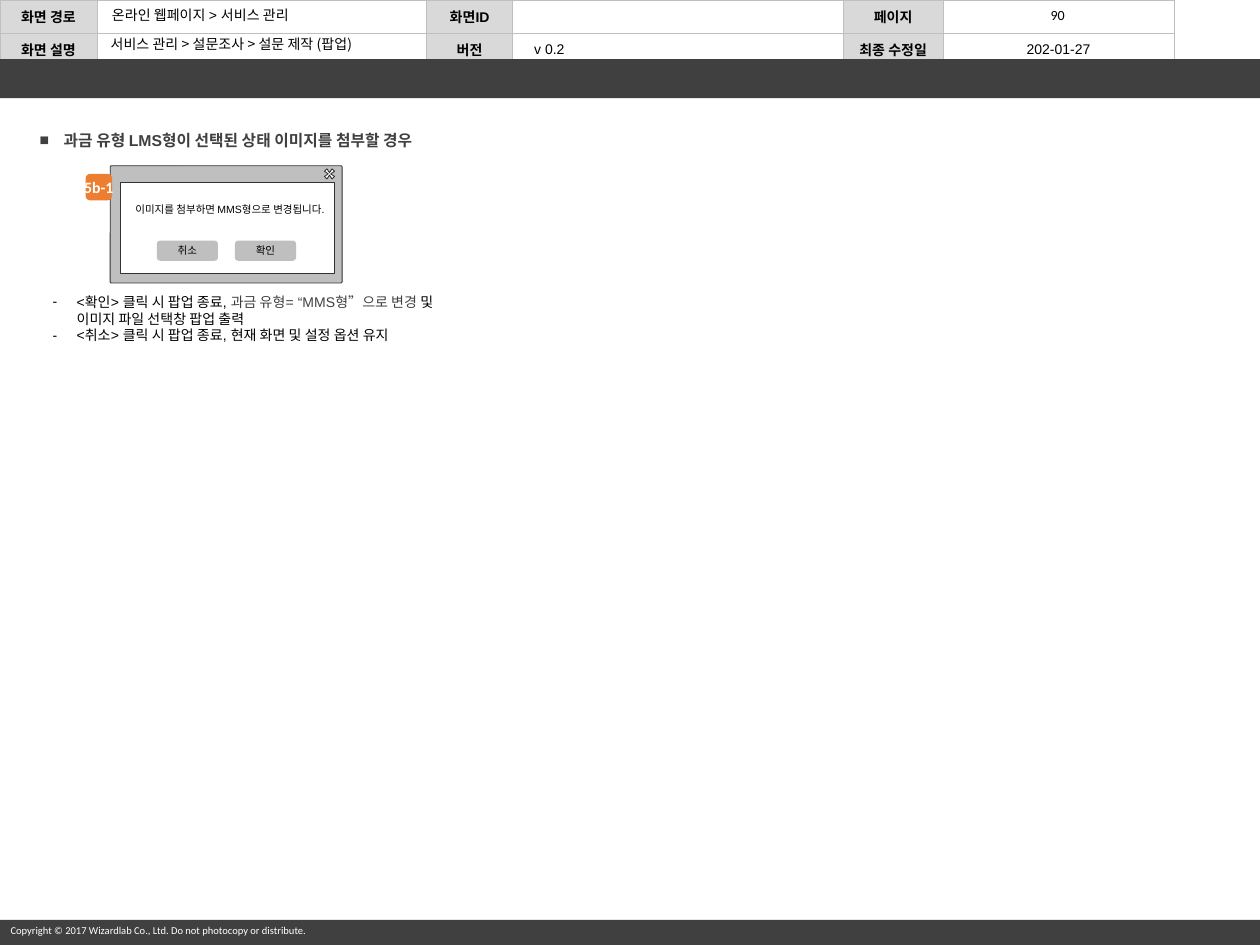
from dataclasses import dataclass

from lxml import etree
from pptx import Presentation
from pptx.dml.color import RGBColor
from pptx.enum.shapes import MSO_SHAPE
from pptx.enum.text import MSO_ANCHOR, MSO_AUTO_SIZE, PP_ALIGN
from pptx.oxml.ns import qn
from pptx.util import Emu, Inches, Pt

RECT, ROUND = MSO_SHAPE.RECTANGLE, MSO_SHAPE.ROUNDED_RECTANGLE
TOP, MIDDLE = MSO_ANCHOR.TOP, MSO_ANCHOR.MIDDLE
LEFT, CENTER = PP_ALIGN.LEFT, PP_ALIGN.CENTER
GROW = MSO_AUTO_SIZE.SHAPE_TO_FIT_TEXT
SLIDE_W, SLIDE_H = Inches(10), Inches(7.5)
DEFAULT_INSETS = (0.1, 0.05, 0.1, 0.05)
NARROW_INSETS = (0.04,) * 4


@dataclass(frozen=True)
class Theme:
    black: str = "000000"
    white: str = "FFFFFF"
    dark: str = "404040"
    label: str = "D9D9D9"
    gray: str = "BFBFBF"
    outline: str = "333333"
    accent: str = "ED7D31"
    small: int = 6
    body: int = 8
    heading: int = 9
    latin: str = "Arial"
    alt: str = "Calibri"
    korean: str = "Noto Sans CJK KR"


THEME = Theme()


def share_x(percent):
    return Emu(round(SLIDE_W * percent / 100))


def share_y(percent):
    return Emu(round(SLIDE_H * percent / 100))


def place(x, y, w, h):
    """Turn percentages of the slide into lengths."""
    return share_x(x), share_y(y), share_x(w), share_y(h)


def style_run(run, size=THEME.body, color=THEME.black, font=THEME.latin, bold=False):
    run.font.size = Pt(size)
    run.font.bold = bold
    run.font.color.rgb = RGBColor.from_string(color)
    run.font.name = font
    props = run._r.get_or_add_rPr()
    props.set("kern", "0")
    etree.SubElement(props, qn("a:ea"), typeface=THEME.korean)


def write(paragraph, text, align=LEFT, spacing=None, **style):
    paragraph.text = text
    paragraph.alignment = align
    if spacing:
        paragraph.line_spacing = spacing
    for run in paragraph.runs:
        style_run(run, **style)


def add_bullet(paragraph, mark):
    props = paragraph._p.get_or_add_pPr()
    indent = Inches(0.19)
    props.set("marL", str(indent))
    props.set("indent", str(-indent))
    etree.SubElement(props, qn("a:buFont"), typeface=THEME.latin)
    etree.SubElement(props, qn("a:buChar"), char=mark)


def set_frame(frame, insets=DEFAULT_INSETS, anchor=TOP, wrap=True):
    (frame.margin_left, frame.margin_top,
     frame.margin_right, frame.margin_bottom) = map(Inches, insets)
    frame.vertical_anchor = anchor
    frame.word_wrap = wrap


def add_text(slide, box, text="", grow=True, insets=DEFAULT_INSETS,
             anchor=TOP, wrap=True, **style):
    frame = slide.shapes.add_textbox(*place(*box)).text_frame
    set_frame(frame, insets, anchor, wrap)
    if grow:
        frame.auto_size = GROW
    write(frame.paragraphs[0], text, **style)
    return frame


def paint(shape, fill, line=None):
    shape.shadow.inherit = False
    shape.fill.solid()
    shape.fill.fore_color.rgb = RGBColor.from_string(fill)
    if line:
        shape.line.color.rgb = RGBColor.from_string(line)
        shape.line.width = Pt(0.5)
    else:
        shape.line.fill.background()


def add_panel(slide, kind, box, fill, line=None):
    panel = slide.shapes.add_shape(kind, *place(*box))
    paint(panel, fill, line)
    return panel


def add_label(slide, box, fill, text, insets=DEFAULT_INSETS, wrap=True, **style):
    frame = add_panel(slide, ROUND, box, fill).text_frame
    set_frame(frame, insets, MIDDLE, wrap)
    write(frame.paragraphs[0], text, align=CENTER, **style)


def border_cell(cell):
    props = cell._tc.get_or_add_tcPr()
    for position, side in enumerate(("lnL", "lnR", "lnT", "lnB")):
        edge = etree.Element(qn(f"a:{side}"), w=str(Pt(0.5)))
        fill = etree.SubElement(edge, qn("a:solidFill"))
        etree.SubElement(fill, qn("a:srgbClr"), val=THEME.gray)
        props.insert(position, edge)


def add_info_table(slide):
    rows = [["화면 경로", "", "화면ID", "", "페이지", ""],
            ["화면 설명", "", "버전", "v 0.2", "최종 수정일", "202-01-27"]]
    widths = (7.7, 26.15, 6.85, 26.25, 7.9, 18.35)
    table = slide.shapes.add_table(len(rows), len(widths), *place(0, 0, 93.2, 5.33)).table
    for column, width in zip(table.columns, widths):
        column.width = share_x(width)
    for r, row in enumerate(rows):
        for c, text in enumerate(row):
            cell = table.cell(r, c)
            is_label = c % 2 == 0
            cell.margin_left = cell.margin_right = Inches(0.07)
            cell.margin_top = cell.margin_bottom = Inches(0.05)
            cell.vertical_anchor = MIDDLE
            cell.fill.solid()
            cell.fill.fore_color.rgb = RGBColor.from_string(
                THEME.label if is_label else THEME.white)
            border_cell(cell)
            paragraph = cell.text_frame.paragraphs[0]
            if text:
                is_version = c == 3
                write(paragraph, text, align=LEFT if is_version else CENTER, bold=is_label)
                if is_version:
                    paragraph._p.get_or_add_pPr().set("marL", str(Inches(0.1)))
            else:
                etree.SubElement(paragraph._p, qn("a:endParaRPr"), sz=str(THEME.body * 100))


def add_close_icon(slide, center_x, center_y):
    # One arm of the cross, turned a quarter at a time
    arm = [(0, -0.01), (0.02, -0.04), (0.04, -0.02)]
    points = []
    for _ in range(4):
        points += arm
        arm = [(-y, x) for x, y in arm]
    outline = [(share_x(center_x) + Inches(x), share_y(center_y) + Inches(y))
               for x, y in points]
    builder = slide.shapes.build_freeform(*outline[0])
    builder.add_line_segments(outline[1:], close=True)
    paint(builder.convert_to_shape(), THEME.white, THEME.outline)


def add_page_frame(slide):
    add_info_table(slide)
    for top, height in ((6.27, 4.13), (97.33, 2.67)):
        add_panel(slide, RECT, (0, top, 100, height), THEME.dark)
    add_text(slide, (-0.15, 97.07, 29.5, 2.67),
             "Copyright © 2017 Wizardlab Co., Ltd. Do not photocopy or distribute.",
             wrap=False, size=THEME.small, color=THEME.white, font=THEME.alt)
    add_text(slide, (75.8, 0, 16.3, 3.2), "90", align=CENTER, font=THEME.alt)
    add_text(slide, (7.9, 0, 25.9, 3.2), "온라인 웹페이지 > 서비스 관리")
    add_text(slide, (7.8, 3.2, 26.1, 3.2), "서비스 관리 > 설문조사 > 설문 제작 (팝업)",
             grow=False, anchor=MIDDLE, spacing=0.9, font=THEME.korean)


def add_popup(slide):
    window = add_panel(slide, ROUND, (8.75, 17.55, 18.4, 12.4), THEME.gray, THEME.outline)
    window.adjustments[0] = 0.01
    message = add_panel(slide, RECT, (9.55, 19.33, 17, 9.6), THEME.white, THEME.outline)
    set_frame(message.text_frame, (0.12, 0.04, 0.08, 0.39), MIDDLE)
    write(message.text_frame.paragraphs[0], "이미지를 첨부하면 MMS형으로 변경됩니다.",
          spacing=1.5, size=THEME.small)
    add_close_icon(slide, 26.15, 18.4)
    for left, caption in ((18.65, "확인"), (12.45, "취소")):
        add_label(slide, (left, 25.47, 4.85, 2.13), THEME.gray, caption, size=THEME.small)


def add_notes_on_buttons(slide):
    frame = add_text(slide, (3.2, 30.4, 34.3, 6.67), "<확인> 클릭 시 팝업 종료, ")
    confirm = frame.paragraphs[0]
    for text, style in (("과금 유형= “MMS형”으로 변경 ", {"color": THEME.dark}),
                        ("및 ", {}),
                        ("이미지 파일 선택창 팝업 출력", {"font": THEME.alt})):
        run = confirm.add_run()
        run.text = text
        style_run(run, **style)
    write(frame.add_paragraph(), "<취소> 클릭 시 팝업 종료, 현재 화면 및 설정 옵션 유지")
    for paragraph in frame.paragraphs:
        add_bullet(paragraph, "-")


def main():
    deck = Presentation()
    deck.slide_width, deck.slide_height = SLIDE_W, SLIDE_H
    slide = deck.slides.add_slide(deck.slide_layouts[6])

    # Header table, bars and footer
    add_page_frame(slide)

    # Case heading
    heading = add_text(slide, (2.75, 13.33, 33.6, 3.07),
                       "과금 유형 LMS형이 선택된 상태 이미지를 첨부할 경우",
                       insets=NARROW_INSETS, wrap=False,
                       size=THEME.heading, color=THEME.dark, bold=True)
    add_bullet(heading.paragraphs[0], "■")

    # Popup, its behaviour and its number
    add_popup(slide)
    add_notes_on_buttons(slide)
    add_label(slide, (6.8, 18.4, 2.1, 2.8), THEME.accent, "5b-1", insets=NARROW_INSETS,
              wrap=False, size=THEME.heading, color=THEME.white, font=THEME.alt, bold=True)

    deck.save("out.pptx")


if __name__ == "__main__":
    main()
